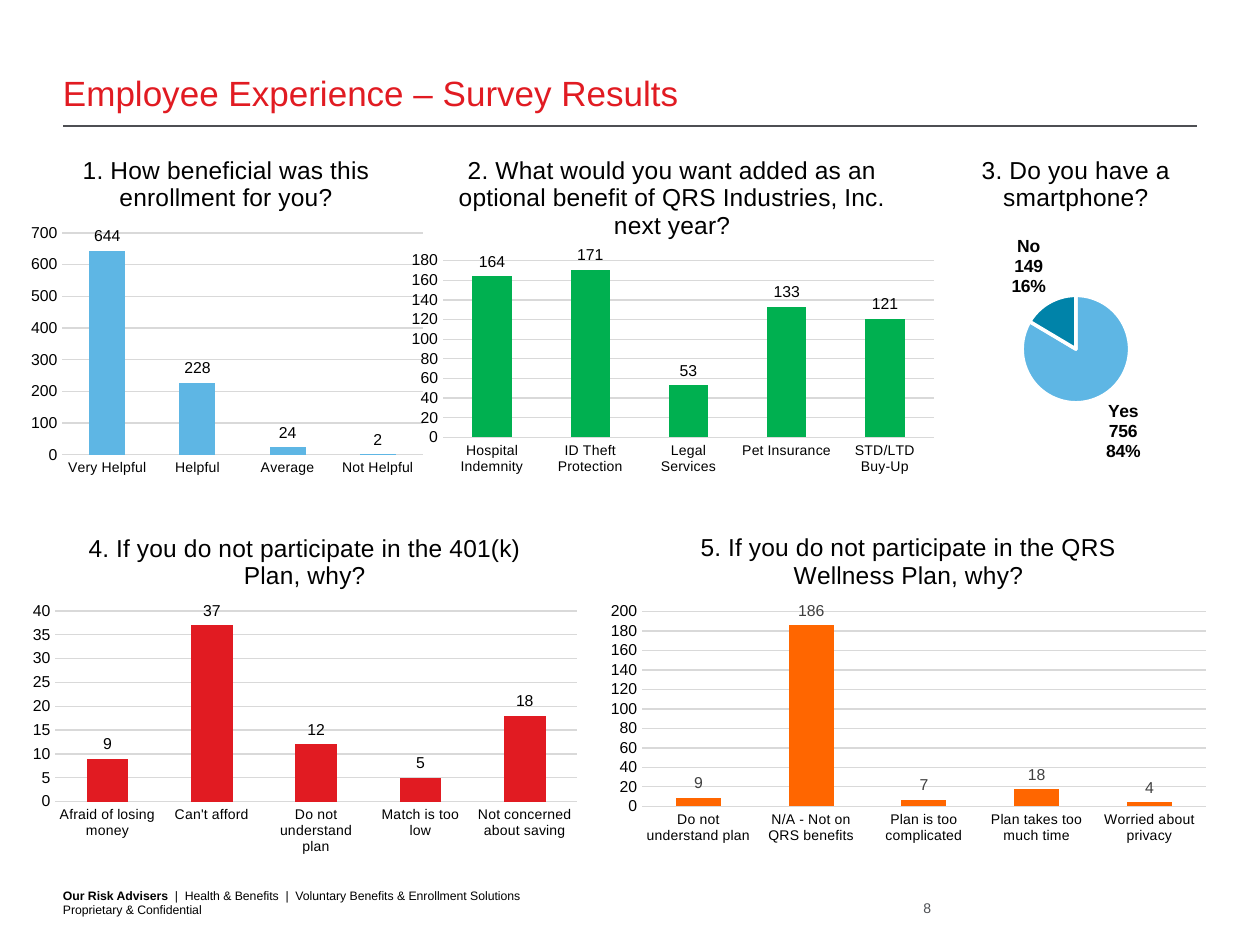
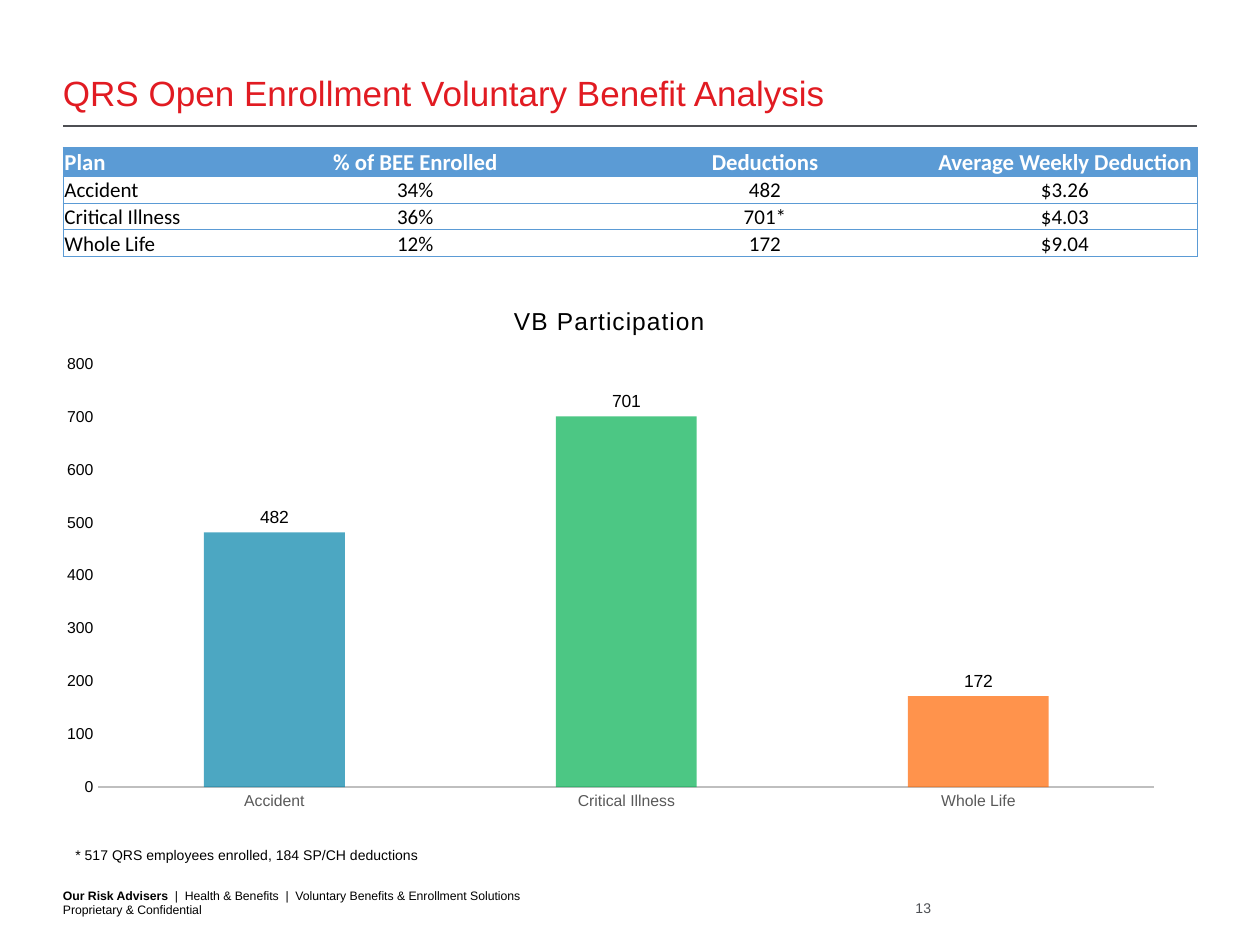
from dataclasses import dataclass

from lxml.etree import SubElement
from pptx import Presentation
from pptx.chart.data import CategoryChartData
from pptx.dml.color import RGBColor as Rgb
from pptx.enum.chart import XL_CHART_TYPE as ChartType
from pptx.enum.chart import XL_LABEL_POSITION as LabelPosition
from pptx.enum.chart import XL_TICK_MARK as TickMark
from pptx.enum.shapes import MSO_CONNECTOR as Connector
from pptx.enum.text import MSO_ANCHOR as Anchor
from pptx.enum.text import PP_ALIGN as Align
from pptx.oxml import parse_xml
from pptx.oxml.ns import nsdecls, qn
from pptx.util import Cm, Pt


@dataclass(frozen=True)
class Theme:
    font: str = "Arial"
    table_font: str = "Calibri"
    black: str = "000000"
    white: str = "FFFFFF"
    red: str = "E11B22"
    slate: str = "4D4F53"
    dark_gray: str = "404040"
    axis_gray: str = "595959"
    axis_line: str = "BFBFBF"
    grid: str = "D9D9D9"
    sky: str = "5EB6E4"
    teal: str = "0083A9"
    green: str = "00B050"
    orange: str = "FF6600"
    table_blue: str = "5B9BD5"
    title_size: float = 20
    question_size: float = 14
    header_size: float = 13
    row_size: float = 12
    chart_size: float = 10
    value_size: float = 9
    small_size: float = 8
    footer_size: float = 7


class Deck:
    def __init__(self, theme):
        self.theme = theme
        self.presentation = Presentation()
        self.presentation.slide_width = Cm(25.4)
        self.presentation.slide_height = Cm(19.05)
        self.slide = None

    def style(self, font, size, color=None, bold=False, name=None):
        font.name = name or self.theme.font
        font.size = Pt(size)
        font.bold = bold
        font.color.rgb = Rgb.from_string(color or self.theme.black)

    def new_slide(self, title, page):
        theme = self.theme
        self.slide = self.presentation.slides.add_slide(self.presentation.slide_layouts[6])
        self.rule(1.27, 24.13, 2.54)
        self.footer()
        self.text((17.78, 18.14, 0.99, 0.33), page, theme.small_size, theme.slate, Align.RIGHT)
        self.text((1.27, 0.84, 22.86, 1.45), title, theme.title_size, theme.red)

    def rule(self, left, right, top):
        rule = self.slide.shapes.add_connector(
            Connector.STRAIGHT, Cm(left), Cm(top), Cm(right), Cm(top))
        rule.line.color.rgb = Rgb.from_string(self.theme.slate)
        rule.line.width = Pt(0.75)
        SubElement(rule.element.spPr, qn("a:effectLst"))

    def frame(self, box, anchor=Anchor.BOTTOM, inset=(0, 0)):
        frame = self.slide.shapes.add_textbox(*map(Cm, box)).text_frame
        frame.word_wrap = True
        frame.vertical_anchor = anchor
        frame.margin_left = frame.margin_right = Cm(inset[0])
        frame.margin_top = frame.margin_bottom = Cm(inset[1])
        return frame

    def text(self, box, words, size, color=None, align=Align.LEFT, **placing):
        paragraph = self.frame(box, **placing).paragraphs[0]
        paragraph.text = words
        paragraph.alignment = align
        self.style(paragraph.runs[0].font, size, color)

    def footer(self):
        line = self.frame((1.27, 17.88, 16.76, 0.61)).paragraphs[0]
        line.add_run().text = "Our Risk Advisers  "
        line.add_run().text = "|  Health & Benefits  |  Voluntary Benefits & Enrollment Solutions"
        line.add_line_break()
        line.add_run().text = "Proprietary & Confidential"
        for index, run in enumerate(line.runs):
            self.style(run.font, self.theme.footer_size, bold=index == 0)

    def chart(self, kind, box, title, answers, plot_area, spacing=0):
        data = CategoryChartData()
        data.categories = list(answers)
        data.add_series("Series 1", list(answers.values()))
        chart = self.slide.shapes.add_chart(kind, *map(Cm, box), data).chart
        self.style(chart.font, self.theme.chart_size)
        chart.has_legend = False
        chart.has_title = True
        chart.chart_title.include_in_layout = False
        heading = chart.chart_title.text_frame
        heading.text = title
        run = heading.paragraphs[0].runs[0]
        self.style(run.font, self.theme.question_size)
        if spacing:
            run.font._element.set("spc", str(spacing))
        self.place_plot(chart, plot_area)
        return chart

    def place_plot(self, chart, plot_area):
        area = chart.element.find(".//" + qn("c:plotArea"))
        for layout in area.findall(qn("c:layout")):
            area.remove(layout)
        modes = '<c:layoutTarget val="inner"/><c:xMode val="edge"/><c:yMode val="edge"/>'
        sizes = "".join(f'<c:{key} val="{value}"/>' for key, value in zip("xywh", plot_area))
        area.insert(0, parse_xml(
            f'<c:layout {nsdecls("c")}><c:manualLayout>{modes}{sizes}</c:manualLayout></c:layout>'))

    def labels(self, plot, size, color=None, bold=False):
        plot.has_data_labels = True
        labels = plot.data_labels
        labels.show_value = True
        labels.position = LabelPosition.OUTSIDE_END
        self.style(labels.font, size, color, bold)
        return labels

    def color_points(self, series, colors):
        for index, color in enumerate(colors):
            fill = series.points[index].format.fill
            fill.solid()
            fill.fore_color.rgb = Rgb.from_string(color)

    def columns(self, box, title, answers, colors, top, step, plot_area,
                label_color=None, overview=False):
        theme = self.theme
        chart = self.chart(ChartType.COLUMN_CLUSTERED, box, title, answers, plot_area,
                           spacing=50 if overview else 0)
        plot = chart.plots[0]
        plot.gap_width = 150
        plot.vary_by_categories = False
        series = plot.series[0]
        series.invert_if_negative = False
        if overview:
            self.color_points(series, colors)
            for tint in list(series._element.iter(qn("a:srgbClr"))):
                SubElement(tint, qn("a:alpha")).set("val", "70000")
        else:
            series.format.fill.solid()
            series.format.fill.fore_color.rgb = Rgb.from_string(colors[0])
        self.labels(plot, theme.chart_size if overview else theme.value_size, label_color)

        scale, names = chart.value_axis, chart.category_axis
        for axis in (scale, names):
            axis.major_tick_mark = axis.minor_tick_mark = TickMark.NONE
            axis.format.line.fill.background()
        scale.minimum_scale, scale.maximum_scale, scale.major_unit = 0, top, step
        self.style(scale.tick_labels.font, theme.value_size)
        scale.has_major_gridlines = not overview
        if overview:
            self.style(names.tick_labels.font, theme.value_size, theme.axis_gray)
            names.format.line.color.rgb = Rgb.from_string(theme.axis_line)
            names.format.line.width = Pt(1.25)
        else:
            self.style(names.tick_labels.font, theme.small_size)
            grid = scale.major_gridlines.format.line
            grid.color.rgb = Rgb.from_string(theme.grid)
            grid.width = Pt(0.75)

    def pie(self, box, title, answers, colors, plot_area):
        chart = self.chart(ChartType.PIE, box, title, answers, plot_area)
        plot = chart.plots[0]
        series = plot.series[0]
        self.color_points(series, colors)
        for index in range(len(colors)):
            edge = series.points[index].format.line
            edge.color.rgb = Rgb.from_string(self.theme.white)
            edge.width = Pt(2)
        labels = self.labels(plot, self.theme.chart_size, bold=True)
        labels.show_category_name = labels.show_percentage = True
        bubble = chart.element.find(".//" + qn("c:dLbls") + "/" + qn("c:showBubbleSize"))
        bubble.addnext(parse_xml(f'<c:separator {nsdecls("c")}>\n</c:separator>'))

    def borders(self, cell, first, last):
        properties = cell._tc.get_or_add_tcPr()
        for side, drawn in (("L", first), ("R", last), ("T", True), ("B", True)):
            line = SubElement(properties, qn(f"a:ln{side}"), w=str(Pt(0.5)))
            if drawn:
                paint = SubElement(line, qn("a:solidFill"))
                SubElement(paint, qn("a:srgbClr"), val=self.theme.table_blue)
            else:
                SubElement(line, qn("a:noFill"))

    def table(self, left, top, widths, header_height, row_height, rows):
        theme = self.theme
        heights = [header_height] + [row_height] * (len(rows) - 1)
        table = self.slide.shapes.add_table(
            len(rows), len(widths), Cm(left), Cm(top), Cm(sum(widths)), Cm(sum(heights))).table
        table.first_row = table.horz_banding = False
        for column, width in zip(table.columns, widths):
            column.width = Cm(width)
        for row_index, (values, height) in enumerate(zip(rows, heights)):
            table.rows[row_index].height = Cm(height)
            header = row_index == 0
            for index, value in enumerate(values):
                cell = table.cell(row_index, index)
                cell.text = value
                cell.vertical_anchor = Anchor.BOTTOM
                cell.margin_left = cell.margin_right = cell.margin_top = Cm(0.03)
                cell.margin_bottom = 0
                self.borders(cell, index == 0, index == len(values) - 1)
                if header:
                    cell.fill.solid()
                    cell.fill.fore_color.rgb = Rgb.from_string(theme.table_blue)
                else:
                    cell.fill.background()
                paragraph = cell.text_frame.paragraphs[0]
                paragraph.alignment = Align.CENTER if index else Align.LEFT
                self.style(paragraph.runs[0].font,
                           theme.header_size if header else theme.row_size,
                           theme.white if header else theme.black, header, theme.table_font)


def survey_results(deck):
    theme = deck.theme
    upper, lower, height = 2.74, 10.36, 6.99
    deck.new_slide("Employee Experience – Survey Results", "8")
    deck.columns(
        (0.43, upper, 8.26, height), "1. How beneficial was this enrollment for you?",
        {"Very Helpful": 644, "Helpful": 228, "Average": 24, "Not Helpful": 2},
        [theme.sky], 700, 100, (0.1, 0.28, 0.88, 0.64))
    deck.columns(
        (8.05, upper, 11, height),
        "2. What would you want added as an optional benefit of QRS Industries, Inc. next year?",
        {"Hospital Indemnity": 164, "ID Theft Protection": 171, "Legal Services": 53,
         "Pet Insurance": 133, "STD/LTD Buy-Up": 121},
        [theme.green], 180, 20, (0.08, 0.36, 0.9, 0.51))
    deck.pie(
        (17.98, upper, 7.42, height), "3. Do you have a smartphone?",
        {"Yes": 756, "No": 149}, [theme.sky, theme.teal], (0.35, 0.46, 0.3, 0.31))
    deck.columns(
        (0.43, lower, 11.43, height), "4. If you do not participate in the 401(k) Plan, why?",
        {"Afraid of losing money": 9, "Can't afford": 37, "Do not understand plan": 12,
         "Match is too low": 5, "Not concerned about saving": 18},
        [theme.red], 40, 5, (0.06, 0.28, 0.92, 0.55))
    deck.columns(
        (12.07, lower, 12.49, 6.78),
        "5. If you do not participate in the QRS Wellness Plan, why?",
        {"Do not understand plan": 9, "N/A - Not on QRS benefits": 186,
         "Plan is too complicated": 7, "Plan takes too much time": 18,
         "Worried about privacy": 4},
        [theme.orange], 200, 20, (0.07, 0.29, 0.91, 0.58), theme.dark_gray)


def benefit_analysis(deck):
    theme = deck.theme
    deck.new_slide("QRS Open Enrollment Voluntary Benefit Analysis", "13")
    deck.table(1.27, 2.97, [3.43, 7.34, 6.76, 5.33], 0.57, 0.54, [
        ["Plan", "% of BEE Enrolled", "Deductions", "Average Weekly Deduction"],
        ["Accident", "34%", "482", "$3.26"],
        ["Critical Illness", "36%", "701*", "$4.03"],
        ["Whole Life", "12%", "172", "$9.04"],
    ])
    deck.columns(
        (0.84, 5.72, 22.89, 10.8), "VB Participation",
        {"Accident": 482, "Critical Illness": 701, "Whole Life": 172},
        [theme.teal, theme.green, theme.orange], 800, 100,
        (0.05, 0.15, 0.93, 0.79), overview=True)
    deck.text((1.27, 16.94, 11.23, 0.61),
              "* 517 QRS employees enrolled, 184 SP/CH deductions",
              theme.small_size, anchor=Anchor.TOP, inset=(0.25, 0.13))


def main():
    deck = Deck(Theme())
    survey_results(deck)
    benefit_analysis(deck)
    deck.presentation.save("out.pptx")


if __name__ == "__main__":
    main()
